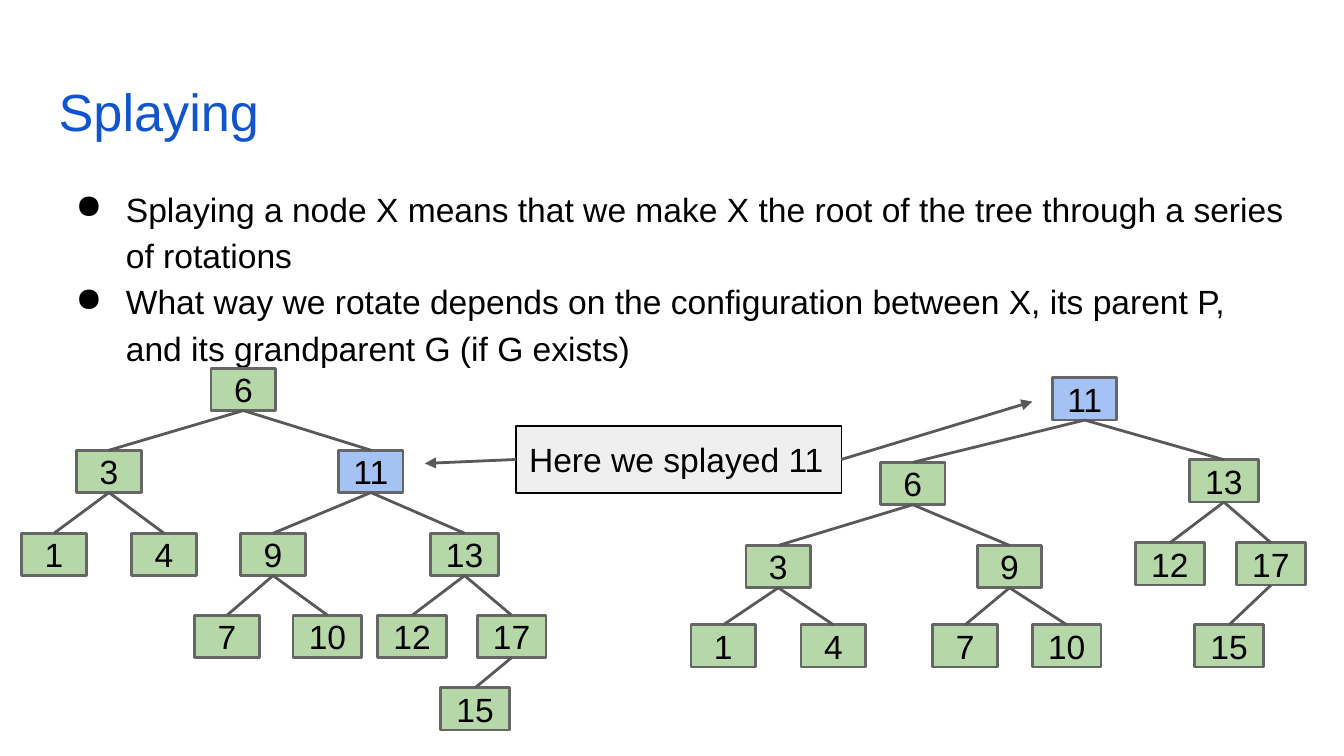
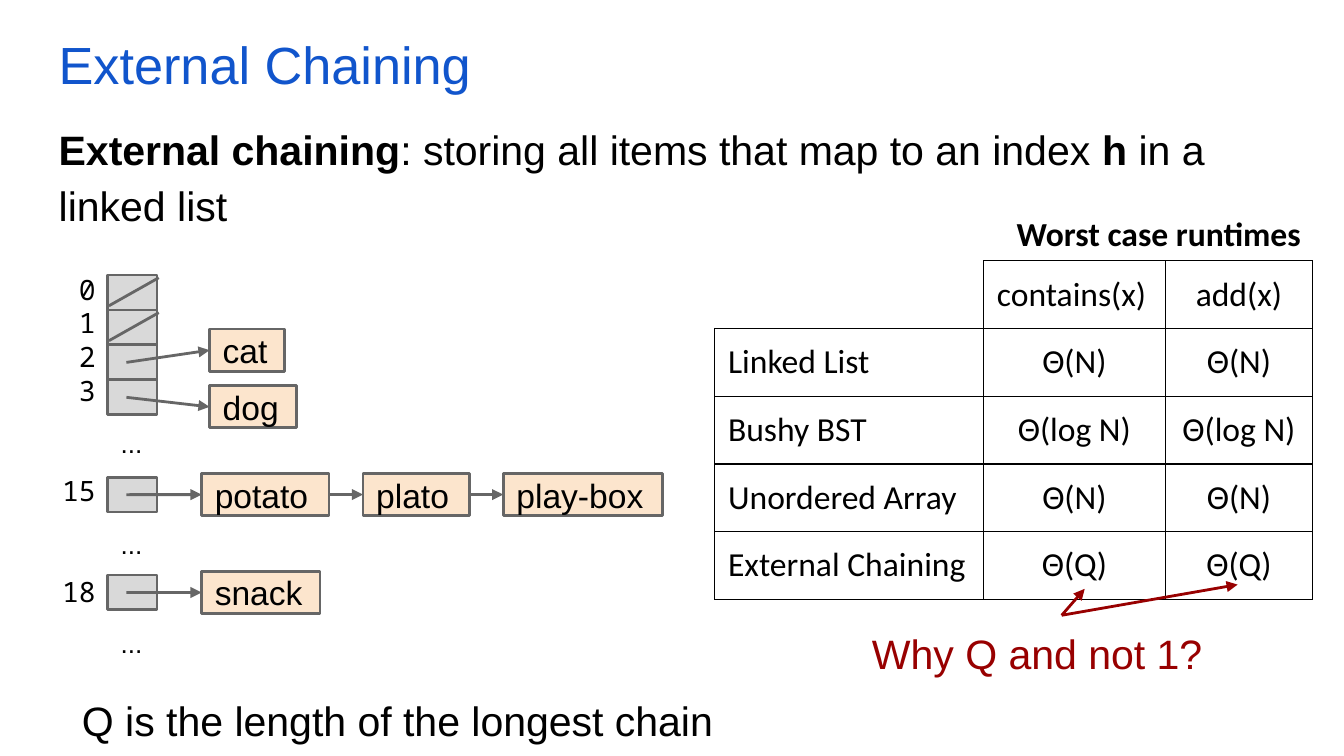
"""Builds two slides on splay trees and hash tables with external chaining."""
from lxml import etree
from pptx import Presentation
from pptx import util as u
from pptx.dml.color import RGBColor
from pptx.enum import shapes, text
from pptx.oxml import ns

BLACK = RGBColor(0x00, 0x00, 0x00)
WHITE = RGBColor(0xFF, 0xFF, 0xFF)
TITLE_BLUE = RGBColor(0x11, 0x55, 0xCC)
NODE_GREEN = RGBColor(0xB6, 0xD7, 0xA8)
NODE_BLUE = RGBColor(0xA4, 0xC2, 0xF4)
CALLOUT_GREY = RGBColor(0xEF, 0xEF, 0xEF)
BUCKET_GREY = RGBColor(0xD9, 0xD9, 0xD9)
ITEM_PEACH = RGBColor(0xFC, 0xE5, 0xCD)
OUTLINE = RGBColor(0x66, 0x66, 0x66)
EDGE = RGBColor(0x59, 0x59, 0x59)
QUESTION_RED = RGBColor(0x98, 0x00, 0x00)

TOP, LEFT, BOTTOM, RIGHT = range(4)
CENTER = text.PP_ALIGN.CENTER
ALIGN_RIGHT = text.PP_ALIGN.RIGHT
MIDDLE = text.MSO_ANCHOR.MIDDLE
INSET = u.Cm(0.25)
TEXT_LEFT, TEXT_WIDTH = 0.86, 23.67
NODE_HEIGHT = 0.8
BUCKET_LEFT, BUCKET_WIDTH, BUCKET_HEIGHT = 2.03, 0.94, 0.66
ITEM_GAP = 0.64

TREE_BEFORE = [
    (6, None, 3.99, 6.96), (3, 6, 1.45, 8.51), (11, 6, 6.4, 8.51),
    (1, 3, 0.41, 10.08), (4, 3, 2.49, 10.08), (9, 11, 4.55, 10.08),
    (13, 11, 8.13, 10.08), (7, 9, 3.68, 11.63), (10, 9, 5.54, 11.63),
    (12, 13, 7.14, 11.63), (17, 13, 9.02, 11.63), (15, 17, 8.33, 13.0),
]
TREE_AFTER = [
    (11, None, 19.89, 7.14), (6, 11, 16.64, 8.74), (13, 11, 22.48, 8.69),
    (3, 6, 14.1, 10.31), (9, 6, 18.47, 10.31), (12, 13, 21.46, 10.26),
    (17, 13, 23.37, 10.26), (1, 3, 13.06, 11.81), (4, 3, 15.14, 11.81),
    (7, 9, 17.63, 11.81), (10, 9, 19.51, 11.81), (15, 17, 22.58, 11.81),
]
BUCKET_TOPS = [5.2 + BUCKET_HEIGHT * index for index in range(4)] + [9.02, 10.87]
CHAINS = [
    (2, 3.96, 6.22, [("cat", 1.42)]),
    (3, 3.96, 7.29, [("dog", 1.65)]),
    (4, 3.81, 8.95, [("potato", 2.41), ("plato", 2.01), ("play-box", 3.02)]),
    (5, 3.81, 10.8, [("snack", 2.24)]),
]
RUNTIMES = [
    ("", "contains(x)", "add(x)"),
    ("Linked List", "Θ(N)", "Θ(N)"),
    ("Bushy BST", "Θ(log N)", "Θ(log N)"),
    ("Unordered Array", "Θ(N)", "Θ(N)"),
    ("External Chaining", "Θ(Q)", "Θ(Q)"),
]


def style_font(font, size, color=BLACK, name="Arial", bold=None):
    """Set the face, size and colour of a font."""
    font.name, font.size, font.bold = name, u.Pt(size), bold
    font.color.rgb = color


def write(shape, lines, size, color=BLACK, name="Arial", bold=None,
          align=None, anchor=text.MSO_ANCHOR.TOP, spacing=None):
    """Put lines into a shape and return the paragraphs."""
    frame = shape.text_frame
    frame.word_wrap = True
    frame.vertical_anchor = anchor
    frame.margin_left = frame.margin_right = INSET
    frame.margin_top = frame.margin_bottom = INSET
    frame.text = "\n".join(lines)
    for paragraph in frame.paragraphs:
        paragraph.alignment = align
        paragraph.line_spacing = spacing
        style_font(paragraph.font, size, color, name, bold)
    return frame.paragraphs


def add_text(slide, box, lines, size, **style):
    """Add a text box and return it."""
    shape = slide.shapes.add_textbox(*map(u.Cm, box))
    write(shape, lines, size, **style)
    return shape


def add_box(slide, box, fill, line=OUTLINE, width=1.5):
    """Add a flat rectangle and return it."""
    shape = slide.shapes.add_shape(shapes.MSO_SHAPE.RECTANGLE, *map(u.Cm, box))
    shape.shadow.inherit = False
    shape.fill.solid()
    shape.fill.fore_color.rgb = fill
    if line is None:
        shape.line.fill.background()
    else:
        shape.line.color.rgb = line
        shape.line.width = u.Pt(width)
    return shape


def add_line(slide, begin, end, color=OUTLINE, arrow=False):
    """Draw a line between ends given as (x, y) or (shape, side)."""
    joined = [not isinstance(place[0], (int, float)) for place in (begin, end)]
    points = [(0, 0) if join else place for join, place in zip(joined, (begin, end))]
    connector = slide.shapes.add_connector(
        shapes.MSO_CONNECTOR.STRAIGHT, *(u.Cm(value) for point in points for value in point))
    if joined[0]:
        connector.begin_connect(*begin)
    if joined[1]:
        connector.end_connect(*end)
    connector.line.color.rgb = color
    connector.line.width = u.Pt(1.5)
    if arrow:
        etree.SubElement(connector.line._get_or_add_ln(), ns.qn("a:tailEnd"), type="triangle")
    etree.SubElement(connector._element.spPr, ns.qn("a:effectLst"))


def add_title(slide, title, top):
    """Add the slide title."""
    add_text(slide, (TEXT_LEFT, top, TEXT_WIDTH, 1.6), [title], 28, color=TITLE_BLUE)


def add_bullets(slide, box, lines):
    """Add a bulleted list."""
    shape = slide.shapes.add_textbox(*map(u.Cm, box))
    shape.text_frame.text = "\n".join(lines)
    for paragraph in write(shape, lines, 18, spacing=1.15):
        properties = paragraph._p.get_or_add_pPr()
        properties.set("marL", str(u.Cm(1.27)))
        properties.set("indent", str(u.Cm(-0.95)))
        bullet = etree.Element(ns.qn("a:buChar"), char="●")
        properties.find(ns.qn("a:defRPr")).addprevious(bullet)


def add_tree(slide, nodes):
    """Draw a tree from (value, parent, left, top) entries."""
    boxes = {}
    for value, parent, left, top in nodes:
        width = 1.22 if value < 10 or value == 11 else 1.3
        fill = NODE_BLUE if value == 11 else NODE_GREEN
        boxes[value] = add_box(slide, (left, top, width, NODE_HEIGHT), fill)
        write(boxes[value], [str(value)], 18, align=CENTER, anchor=MIDDLE)
        if parent is not None:
            add_line(slide, (boxes[parent], BOTTOM), (boxes[value], TOP), EDGE)


def add_chain(slide, bucket_top, left, top, items):
    """Draw the linked list that a bucket points to."""
    source = (BUCKET_LEFT + 0.36, bucket_top + BUCKET_HEIGHT / 2)
    for word, width in items:
        item = add_box(slide, (left, top, width, NODE_HEIGHT), ITEM_PEACH)
        write(item, [word], 18, anchor=MIDDLE)
        add_line(slide, source, (item, LEFT), arrow=True)
        source = (item, RIGHT)
        left += width + ITEM_GAP


def add_hash_table(slide):
    """Draw the buckets with their indices and chains."""
    indices = add_text(slide, (0, 4.9, 2.06, 10.24 - 1), ["0", "1", "2", "3", "15", "18"], 15,
                       name="Noto Sans Mono", align=ALIGN_RIGHT)
    for paragraph in indices.text_frame.paragraphs[4:]:
        paragraph.space_before = u.Pt(36)
    for top in BUCKET_TOPS:
        add_box(slide, (BUCKET_LEFT, top, BUCKET_WIDTH, BUCKET_HEIGHT), BUCKET_GREY)
    for top in BUCKET_TOPS[:2]:
        add_line(slide, (BUCKET_LEFT + 0.03, top + 0.58), (BUCKET_LEFT + 0.97, top + 0.05))
    for bucket, left, top, items in CHAINS:
        add_chain(slide, BUCKET_TOPS[bucket], left, top, items)
    for top in (7.82, 9.73, 11.61):
        add_text(slide, (BUCKET_LEFT, top, BUCKET_WIDTH, BUCKET_HEIGHT), ["..."], 14)


def set_borders(cell, visible):
    """Draw the named cell sides in black and hide the others."""
    properties = cell._tc.get_or_add_tcPr()
    for side in "LRTB":
        line = etree.SubElement(properties, ns.qn(f"a:ln{side}"), w=str(u.Pt(0.75)))
        if side in visible:
            fill = etree.SubElement(line, ns.qn("a:solidFill"))
            etree.SubElement(fill, ns.qn("a:srgbClr"), val=str(BLACK))
        else:
            etree.SubElement(line, ns.qn("a:noFill"))


def add_runtime_table(slide):
    """Add the table of worst case runtimes."""
    widths, row_height = (5.08, 3.43, 2.79), 1.28
    table = slide.shapes.add_table(
        len(RUNTIMES), len(widths), u.Cm(13.51), u.Cm(4.93),
        u.Cm(sum(widths)), u.Cm(row_height * len(RUNTIMES))).table
    table.first_row = table.horz_banding = False
    for column, width in zip(table.columns, widths):
        column.width = u.Cm(width)
    for row, values in enumerate(RUNTIMES):
        for column, value in enumerate(values):
            cell = table.cell(row, column)
            cell.margin_left = cell.margin_right = INSET
            cell.margin_top = cell.margin_bottom = INSET
            set_borders(cell, "LRTB" if value else "RB")
            if value:
                cell.fill.solid()
                cell.fill.fore_color.rgb = WHITE
            else:
                cell.fill.background()
            cell.text = value
            paragraph = cell.text_frame.paragraphs[0]
            centred = column > 0 and value != "contains(x)"
            paragraph.alignment = CENTER if centred else None
            style_font(paragraph.font, 18, name="Calibri")


def add_definition(slide):
    """Add the definition with its key terms in bold."""
    shape = add_text(slide, (TEXT_LEFT, 1.96, TEXT_WIDTH, 1.1), [""], 22, spacing=1.15)
    paragraph = shape.text_frame.paragraphs[0]
    parts = ["External chaining", ": storing all items that map to an index ",
             "h", " in a linked list"]
    for index, part in enumerate(parts):
        run = paragraph.add_run()
        run.text = part
        style_font(run.font, 22, bold=index % 2 == 0)


def build_splaying(slide):
    """Build the slide on splaying."""
    add_title(slide, "Splaying", 1.24)
    add_bullets(slide, (TEXT_LEFT, 3.2, TEXT_WIDTH, 9.5), [
        "Splaying a node X means that we make X the root of the tree "
        "through a series of rotations",
        "What way we rotate depends on the configuration between X, its parent P, "
        "and its grandparent G (if G exists)",
    ])
    add_tree(slide, TREE_BEFORE)
    add_tree(slide, TREE_AFTER)
    callout = add_box(slide, (9.75, 8.05, 6.15, 1.27), CALLOUT_GREY, BLACK, 0.75)
    write(callout, ["Here we splayed 11"], 18)
    add_line(slide, (callout, LEFT), (8.03, 8.76), EDGE, arrow=True)
    add_line(slide, (callout, RIGHT), (19.51, 7.59), EDGE, arrow=True)


def build_chaining(slide):
    """Build the slide on external chaining."""
    add_title(slide, "External Chaining", 0.36)
    heading = add_box(slide, (18.57, 3.86, 6.27, 1.09), WHITE, None)
    write(heading, ["Worst case runtimes"], 18, name="Calibri", bold=True,
          align=ALIGN_RIGHT, anchor=MIDDLE)
    add_runtime_table(slide)
    add_definition(slide)
    add_hash_table(slide)
    question = add_text(slide, (16.23, 11.63, 7.67, 1.6), ["Why Q and not 1?"], 22,
                        color=QUESTION_RED)
    for target in ((20.5, 11.13), (23.39, 11.05)):
        add_line(slide, (question, TOP), target, QUESTION_RED, arrow=True)
    add_text(slide, (1.3, 12.75, TEXT_WIDTH, 1.1),
             ["Q is the length of the longest chain"], 22, spacing=1.15)


def main():
    """Build and save the presentation."""
    presentation = Presentation()
    presentation.slide_width, presentation.slide_height = u.Cm(25.4), u.Cm(14.29)
    blank = presentation.slide_layouts[6]
    for build in (build_splaying, build_chaining):
        build(presentation.slides.add_slide(blank))
    presentation.save("out.pptx")


if __name__ == "__main__":
    main()
